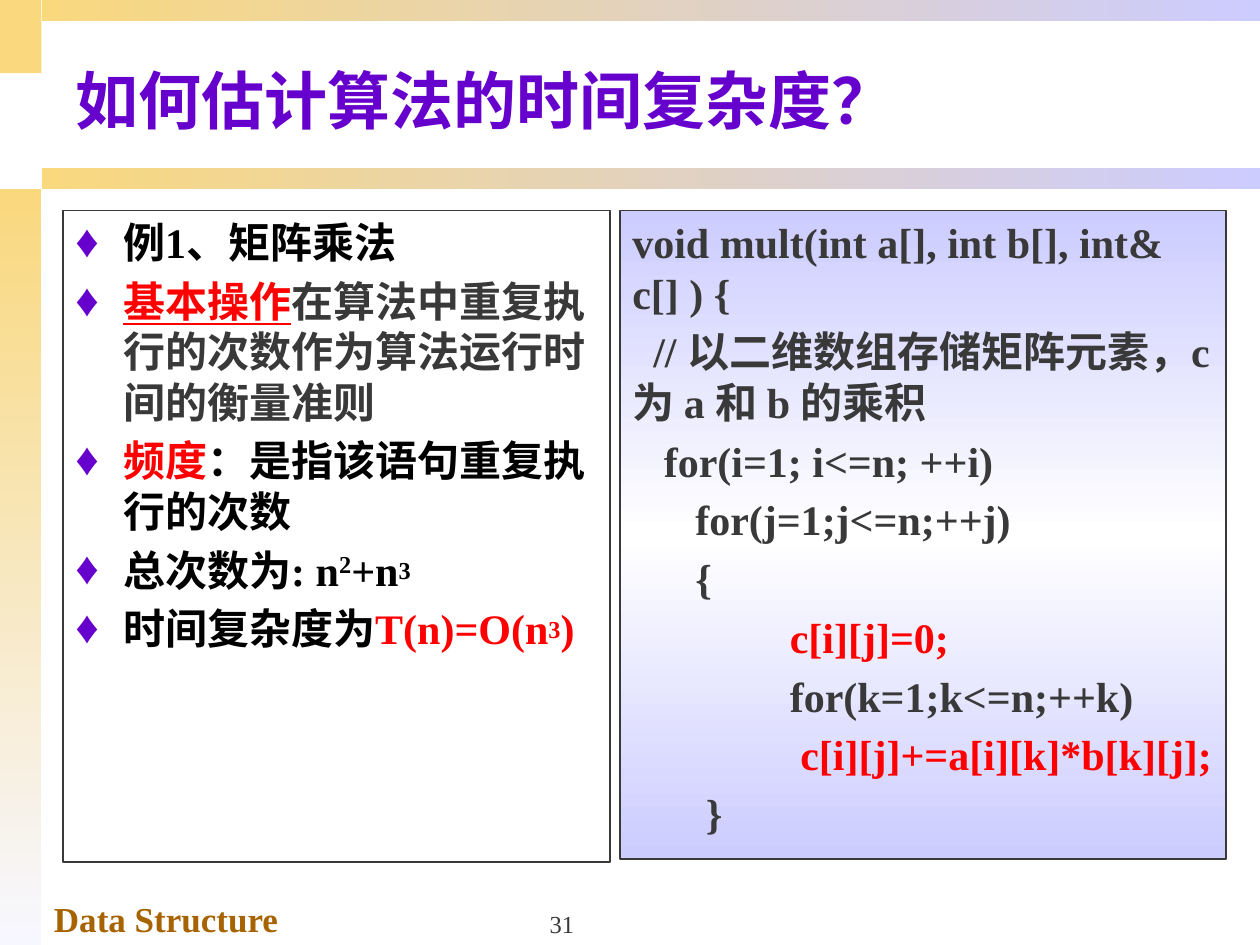
from copy import deepcopy
from lxml.etree import SubElement
from pptx import Presentation
from pptx.dml.color import RGBColor
from pptx.enum.lang import MSO_LANGUAGE_ID
from pptx.enum.shapes import MSO_SHAPE
from pptx.enum.text import MSO_ANCHOR, PP_ALIGN
from pptx.oxml.ns import qn
from pptx.util import Inches, Pt

GOLD, LILAC, PALE, WHITE = "F9D87E", "CCCCFF", "F7F7FF", "FFFFFF"
GRAY, BLACK, RED, PURPLE, BROWN = "393939", "000000", "FF0000", "6600CC", "A66300"
FONT = "Times New Roman"
SPACE = 0.25 * 24 / 72

BARS = [
    ((0, 0, 0.33, 0.58), [GOLD], 0),
    ((0, 1.5, 0.33, 6), [GOLD, PALE], 270),
    ((0.33, 1.33, 9.67, 0.17), [GOLD, LILAC], 0),
    ((0.33, 0, 9.67, 0.17), [GOLD, LILAC], 0),
]
POINTS = [
    [("例1、矩阵乘法", BLACK)],
    [("基本操作", RED, 0, True), ("在算法中重复执行的次数作为算法运行时间的衡量准则", GRAY)],
    [("频度", RED), ("：是指该语句重复执行的次数", BLACK)],
    [("总次数为: n", BLACK), ("2", BLACK, 30), ("+n", BLACK), ("3", BLACK, 16)],
    [("时间复杂度为", BLACK), ("T(n)=O(n", RED), ("3", RED, 16), (")", RED)],
]
CODE = [
    (0, "void mult(int a[], int b[], int& c[] ) {", GRAY),
    (2, "// 以二维数组存储矩阵元素，c 为 a 和 b 的乘积", GRAY),
    (3, "for(i=1; i<=n; ++i)", GRAY),
    (6, "for(j=1;j<=n;++j)", GRAY),
    (6, "{", GRAY),
    (15, "c[i][j]=0;", RED),
    (15, "for(k=1;k<=n;++k)", GRAY),
    (16, "c[i][j]+=a[i][k]*b[k][j];", RED),
    (7, "}", GRAY),
]


def rgb(code):
    """Turn a hex string into a colour."""
    return RGBColor.from_string(code)


def paint(shape, shades, angle):
    """Fill a shape with one colour, an even gradient, or nothing."""
    fill = shape.fill
    if not shades:
        fill.background()
    elif len(shades) == 1:
        fill.solid()
        fill.fore_color.rgb = rgb(shades[0])
    else:
        fill.gradient()
        fill.gradient_angle = angle
        stops = next(shape._element.spPr.iter(qn("a:gsLst")))
        for _ in shades[2:]:
            stops.append(deepcopy(stops[0]))
        for i, (stop, shade) in enumerate(zip(fill.gradient_stops, shades)):
            stop.position = i / (len(shades) - 1)
            stop.color.rgb = rgb(shade)


def add_box(slide, place, shades, angle=0, edge=None):
    """Add a rectangle with top-left text."""
    box = slide.shapes.add_shape(MSO_SHAPE.RECTANGLE, *map(Inches, place))
    box.shadow.inherit = False
    paint(box, shades, angle)
    if edge:
        box.line.color.rgb = rgb(edge)
        box.line.width = Pt(1)
    else:
        box.line.fill.background()
    box.text_frame.word_wrap = True
    box.text_frame.vertical_anchor = MSO_ANCHOR.TOP
    return box


def style(run, size, color, bold=True):
    """Set the look of a run."""
    font = run.font
    font.name, font.size, font.bold = FONT, Pt(size), bold
    font.color.rgb = rgb(color)
    font.language_id = MSO_LANGUAGE_ID.SIMPLIFIED_CHINESE


def add_label(slide, place, text, size, color, anchor, bold=True, align=PP_ALIGN.LEFT):
    """Add a one-line text box."""
    frame = slide.shapes.add_textbox(*map(Inches, place)).text_frame
    frame.word_wrap = True
    frame.vertical_anchor = anchor
    frame.text = text
    frame.paragraphs[0].alignment = align
    style(frame.paragraphs[0].runs[0], size, color, bold)


def add_line(frame, first, margin, indent):
    """Start a paragraph with its margin and first-line indent."""
    para = frame.paragraphs[0] if first else frame.add_paragraph()
    para.alignment = PP_ALIGN.LEFT
    para.space_before = Pt(4.8)
    props = para._p.get_or_add_pPr()
    props.set("marL", str(Inches(margin)))
    props.set("indent", str(Inches(indent)))
    return para


def add_bullet(para):
    """Give a paragraph a purple diamond bullet."""
    props = para._p.get_or_add_pPr()
    color = SubElement(props, qn("a:buClr"))
    SubElement(color, qn("a:srgbClr")).set("val", PURPLE)
    SubElement(props, qn("a:buSzPct")).set("val", "110000")
    SubElement(props, qn("a:buFont")).set("typeface", FONT)
    SubElement(props, qn("a:buChar")).set("char", "♦")


def add_run(para, text, color, raised=0, under=False):
    """Add a run, raised by a percentage or underlined."""
    run = para.add_run()
    run.text = text
    style(run, 24, color)
    if under:
        run.font.underline = True
    if raised:
        run._r.get_or_add_rPr().set("baseline", str(raised * 1000))


def add_points(slide):
    """Add the bulleted box."""
    frame = add_box(slide, (0.5, 1.67, 4.34, 5.17), [], edge=GRAY).text_frame
    for i, parts in enumerate(POINTS):
        para = add_line(frame, i == 0, 0.38, -0.38)
        add_bullet(para)
        for part in parts:
            add_run(para, *part)


def add_code(slide):
    """Add the code box."""
    shades = [LILAC, WHITE, LILAC]
    frame = add_box(slide, (4.92, 1.67, 4.81, 5.15), shades, 270, GRAY).text_frame
    for i, (depth, text, color) in enumerate(CODE):
        add_run(add_line(frame, i == 0, 0, depth * SPACE), text, color)


def main():
    """Build and save the slide."""
    deck = Presentation()
    deck.slide_width, deck.slide_height = Inches(10), Inches(7.5)
    slide = deck.slides.add_slide(deck.slide_layouts[6])
    for place, shades, angle in BARS:
        add_box(slide, place, shades, angle)
    add_label(slide, (0.33, 7.07, 3.5, 0.43), "Data Structure", 20, BROWN, MSO_ANCHOR.TOP)
    add_label(slide, (3.42, 7, 2.08, 0.5), "31", 14, GRAY, MSO_ANCHOR.BOTTOM,
              False, PP_ALIGN.CENTER)
    add_label(slide, (0.5, 0.25, 9.5, 1.07), "如何估计算法的时间复杂度？", 36, PURPLE,
              MSO_ANCHOR.MIDDLE)
    add_points(slide)
    add_code(slide)
    deck.save("out.pptx")


if __name__ == "__main__":
    main()
